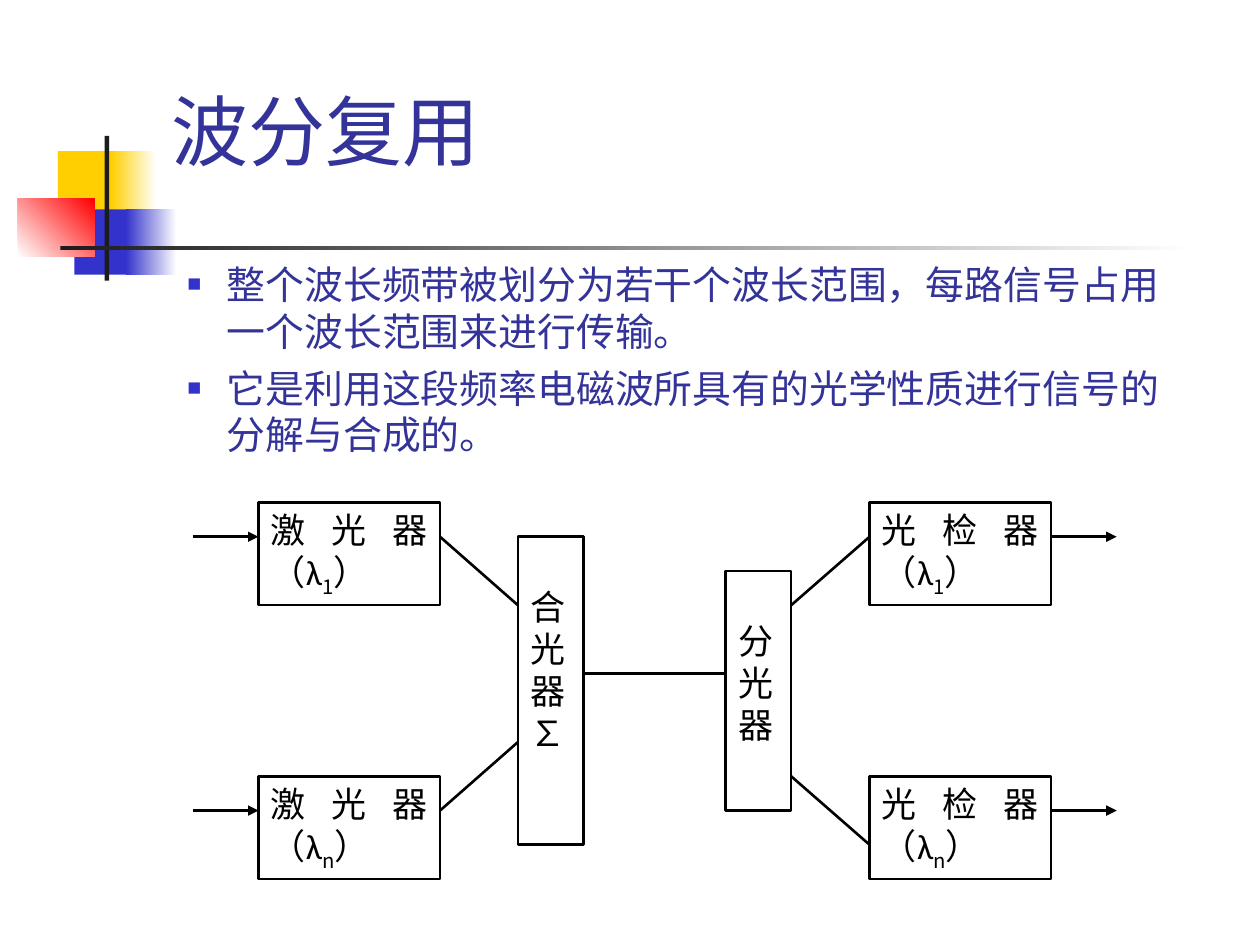
from dataclasses import dataclass

from lxml import etree
from pptx import Presentation
from pptx import util as u
from pptx.dml.color import RGBColor
from pptx.enum import shapes, text
from pptx.oxml.ns import qn


@dataclass(frozen=True)
class Theme:
    heading: str = "333399"
    yellow: str = "FFCF01"
    blue: str = "3333CC"
    red: str = "FF0000"
    ink: str = "1C1C1C"
    black: str = "000000"
    white: str = "FFFFFF"
    latin: str = "Arial"
    label: str = "Calibri"
    chinese: str = "Noto Sans CJK SC"
    title_size: float = 44
    body_size: float = 22.2
    label_size: float = 20
    stroke: float = 1.5


def rgb(value):
    return RGBColor.from_string(value)


class Slide:
    def __init__(self, deck, theme):
        self.theme = theme
        self.shapes = deck.slides.add_slide(deck.slide_layouts[6]).shapes

    def start_group(self):
        """Send everything added from now on into a new group."""
        self.shapes = self.shapes.add_group_shape().shapes

    def block(self, left, top, width, height, color, end=None, angle=0):
        """Borderless rectangle, fading from color to end if end is given."""
        shape = self.shapes.add_shape(
            shapes.MSO_SHAPE.RECTANGLE, *map(u.Cm, (left, top, width, height)))
        shape.shadow.inherit = False
        shape.line.fill.background()
        if end is None:
            shape.fill.solid()
            shape.fill.fore_color.rgb = rgb(color)
        else:
            shape.fill.gradient()
            shape.fill.gradient_angle = angle
            for stop, value in zip(shape.fill.gradient_stops, (color, end)):
                stop.color.rgb = rgb(value)
        return shape

    def run(self, paragraph, words, size, color, font, baseline=0):
        run = paragraph.add_run()
        run.text = words
        run.font.size = u.Pt(size)
        run.font.color.rgb = rgb(color)
        run.font.name = font
        properties = run.font._element
        etree.SubElement(properties, qn("a:ea"), typeface=self.theme.chinese)
        if baseline:
            properties.set("baseline", str(baseline * 1000))

    def text_frame(self, left, top, width, height):
        frame = self.shapes.add_textbox(
            *map(u.Cm, (left, top, width, height))).text_frame
        frame.word_wrap = True
        return frame

    def title(self, words, *place):
        t = self.theme
        frame = self.text_frame(*place)
        frame.vertical_anchor = text.MSO_ANCHOR.MIDDLE
        self.run(frame.paragraphs[0], words, t.title_size, t.heading, t.latin)

    def bullets(self, points, *place):
        t = self.theme
        frame = self.text_frame(*place)
        for i, point in enumerate(points):
            paragraph = frame.add_paragraph() if i else frame.paragraphs[0]
            properties = paragraph._p.get_or_add_pPr()
            properties.set("marL", str(u.Cm(1.02)))
            properties.set("indent", str(u.Cm(-0.79)))
            color = etree.SubElement(properties, qn("a:buClr"))
            etree.SubElement(color, qn("a:srgbClr"), val=t.blue)
            etree.SubElement(properties, qn("a:buSzPct"), val="60000")
            etree.SubElement(properties, qn("a:buFont"), typeface=t.latin)
            etree.SubElement(properties, qn("a:buChar"), char="■")
            if i:
                paragraph.space_before = u.Pt(6)
            self.run(paragraph, point, t.body_size, t.heading, t.latin)

    def box(self, place, label, subscript="", closing="", inset_top=0.13):
        t = self.theme
        shape = self.block(*place, t.white)
        shape.line.color.rgb = rgb(t.black)
        shape.line.width = u.Pt(t.stroke)
        frame = shape.text_frame
        frame.word_wrap = True
        frame.vertical_anchor = text.MSO_ANCHOR.TOP
        frame.margin_top = u.Cm(inset_top)
        paragraph = frame.paragraphs[0]
        paragraph.alignment = text.PP_ALIGN.JUSTIFY
        self.run(paragraph, label, t.label_size, t.black, t.label)
        if subscript:
            self.run(paragraph, subscript, t.label_size, t.black, t.chinese, -25)
            self.run(paragraph, closing, t.label_size, t.black, t.chinese)

    def line(self, x1, y1, x2, y2, arrow=False):
        connector = self.shapes.add_connector(
            shapes.MSO_CONNECTOR.STRAIGHT, *map(u.Cm, (x1, y1, x2, y2)))
        connector.line.color.rgb = rgb(self.theme.black)
        connector.line.width = u.Pt(self.theme.stroke)
        if arrow:
            etree.SubElement(connector.line._get_or_add_ln(),
                             qn("a:tailEnd"), type="triangle")
        etree.SubElement(connector._element.spPr, qn("a:effectLst"))


def draw_ornament(slide):
    t = slide.theme
    slide.block(1.17, 3.05, 1.22, 1.32, t.yellow)
    slide.block(2.24, 3.05, 0.91, 1.32, t.yellow, t.white)
    slide.block(1.5, 4.22, 1.17, 1.32, t.blue)
    slide.block(2.54, 4.22, 1.02, 1.32, t.blue, t.white)
    slide.block(0.36, 4.01, 1.55, 1.17, t.white, t.red, angle=45)
    slide.block(2.11, 2.74, 0.09, 2.92, t.ink)
    slide.block(1.22, 4.95, 22.86, 0.09, t.ink, t.white)


def draw_multiplexer(slide):
    step = 0.69  # vertical grid of the diagram

    def row(n):
        return 10.13 + n * step

    device_width, bar_width, arrow_length = 3.66, 1.32, 1.32
    laser, combiner, splitter, detector = 5.21, 10.44, 14.63, 17.53
    laser_end, detector_end = laser + device_width, detector + device_width
    combiner_end, splitter_end = combiner + bar_width, splitter + bar_width
    channels = ((0, "1"), (8, "n"))

    slide.start_group()
    for left, name in ((laser, "激光器"), (detector, "光检器")):
        for top, index in channels:
            slide.box((left, row(top), device_width, 3 * step),
                      name + "（λ", index, "）")
    for left, top, rows, name in ((combiner, 1, 9, "合光器∑"),
                                  (splitter, 2, 7, "分光器")):
        slide.box((left, row(top), bar_width, rows * step), name, inset_top=0.98)

    for top, _ in channels:
        y = row(top + 1)
        for start in (laser - arrow_length, detector_end):
            slide.line(start, y, start + arrow_length, y, arrow=True)
    for start, end, from_row, to_row in (
            (laser_end, combiner, 1, 3), (laser_end, combiner, 9, 7),
            (splitter_end, detector, 3, 1), (splitter_end, detector, 8, 10),
            (combiner_end, splitter, 5, 5)):
        slide.line(start, row(from_row), end, row(to_row))


def main():
    deck = Presentation()
    deck.slide_width, deck.slide_height = u.Cm(25.4), u.Cm(19.05)
    slide = Slide(deck, Theme())
    draw_ornament(slide)
    slide.title("波分复用", 3.2, 0.58, 21.64, 4.06)
    slide.bullets((
        "整个波长频带被划分为若干个波长范围，每路信号占用一个波长范围来进行传输。",
        "它是利用这段频率电磁波所具有的光学性质进行信号的分解与合成的。",
    ), 3.3, 5.13, 20.83, 4.5)
    draw_multiplexer(slide)
    deck.save("out.pptx")


if __name__ == "__main__":
    main()
